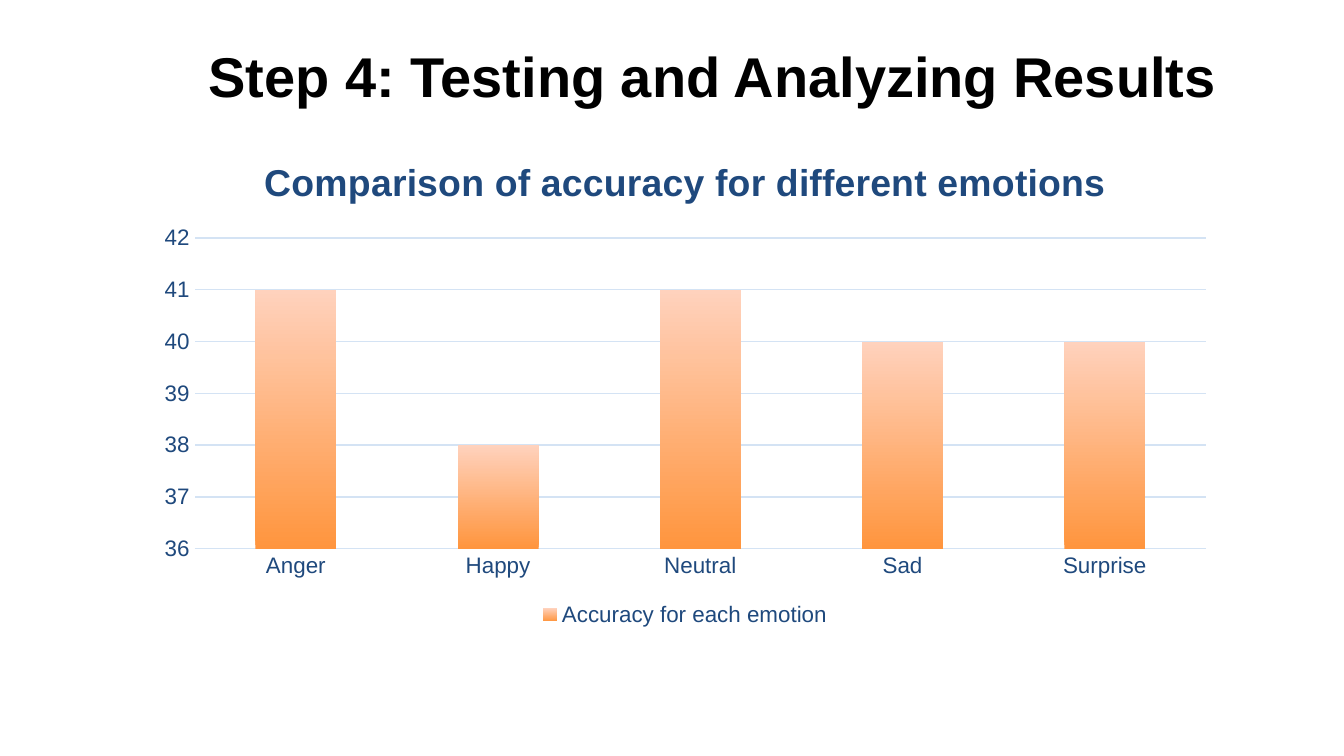
from pptx import Presentation
from pptx.chart.data import CategoryChartData
from pptx.dml.color import RGBColor
from pptx.enum.chart import XL_CHART_TYPE, XL_LEGEND_POSITION, XL_TICK_MARK
from pptx.enum.text import MSO_ANCHOR, MSO_AUTO_SIZE, PP_ALIGN
from pptx.util import Cm, Pt

STACKED = XL_CHART_TYPE.COLUMN_STACKED
BOTTOM = XL_LEGEND_POSITION.BOTTOM
NO_TICK = XL_TICK_MARK.NONE
MIDDLE = MSO_ANCHOR.MIDDLE
NO_FIT = MSO_AUTO_SIZE.NONE
CENTER = PP_ALIGN.CENTER
BLACK = RGBColor(0x00, 0x00, 0x00)
NAVY = RGBColor(0x1F, 0x49, 0x7D)
PALE = RGBColor(0xD4, 0xE3, 0xF4)
ORANGE = RGBColor(0xFF, 0x95, 0x3E)
PEACH = RGBColor(0xFF, 0xD2, 0xBD)
SCORES = {"Anger": 41, "Happy": 38, "Neutral": 41, "Sad": 40, "Surprise": 40}


class Deck:
    """Holds the text style and the current slide."""

    face = "Arial"

    def __init__(self, slide):
        self.slide = slide

    def style(self, font, size, color, bold=False):
        font.name = self.face
        font.size = Pt(size)
        font.bold = bold
        font.color.rgb = color

    def rule(self, line):
        line.color.rgb = PALE
        line.width = Pt(0.75)

    def title(self, text, left, top, width, height):
        shape = self.slide.shapes.title
        shape.left, shape.top = Cm(left), Cm(top)
        shape.width, shape.height = Cm(width), Cm(height)
        frame = shape.text_frame
        frame.text = text
        frame.word_wrap = True
        frame.auto_size = NO_FIT
        frame.vertical_anchor = MIDDLE
        para = frame.paragraphs[0]
        para.alignment = CENTER
        self.style(para.runs[0].font, 30, BLACK, True)

    def chart(self, title, name, scores, left, top, width, height):
        data = CategoryChartData()
        data.categories = list(scores)
        data.add_series(name, list(scores.values()))
        chart = self.slide.shapes.add_chart(
            STACKED, Cm(left), Cm(top), Cm(width), Cm(height), data).chart
        self.style(chart.font, 12, NAVY)

        chart.has_title = True
        frame = chart.chart_title.text_frame
        frame.text = title
        self.style(frame.paragraphs[0].runs[0].font, 20, NAVY, True)
        chart.chart_title.include_in_layout = False

        chart.has_legend = True
        chart.legend.position = BOTTOM
        chart.legend.include_in_layout = False
        self.style(chart.legend.font, 12, NAVY)

        for axis in (chart.category_axis, chart.value_axis):
            axis.major_tick_mark = axis.minor_tick_mark = NO_TICK
            self.style(axis.tick_labels.font, 12, NAVY)
        self.rule(chart.category_axis.format.line)
        scale = chart.value_axis
        scale.minimum_scale, scale.maximum_scale, scale.major_unit = 36, 42, 1
        scale.format.line.fill.background()
        self.rule(scale.major_gridlines.format.line)

        plot = chart.plots[0]
        plot.gap_width, plot.overlap = 150, 100
        plot.vary_by_categories = False
        fill = plot.series[0].format.fill
        fill.gradient()
        fill.gradient_angle = 90
        for stop, color in zip(fill.gradient_stops, (ORANGE, PEACH)):
            stop.color.rgb = color


def main():
    prs = Presentation()
    prs.slide_width, prs.slide_height = Cm(25.4), Cm(14.28)
    deck = Deck(prs.slides.add_slide(prs.slide_layouts[5]))
    deck.chart("Comparison of accuracy for different emotions",
               "Accuracy for each emotion", SCORES, 2.7, 2.54, 20.5, 9.4)
    deck.title("Step 4: Testing and Analyzing Results", 3.55, 0.65, 19.84, 1.55)
    prs.save("out.pptx")


if __name__ == "__main__":
    main()
